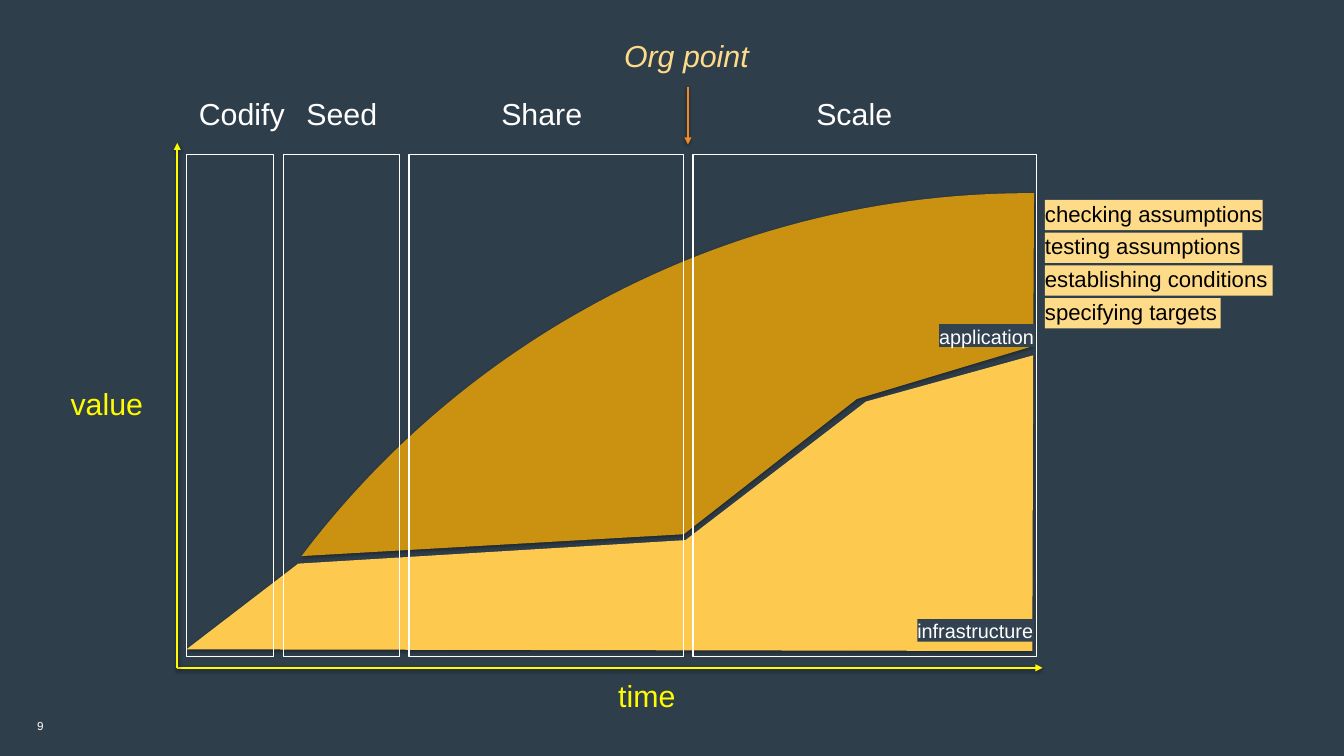
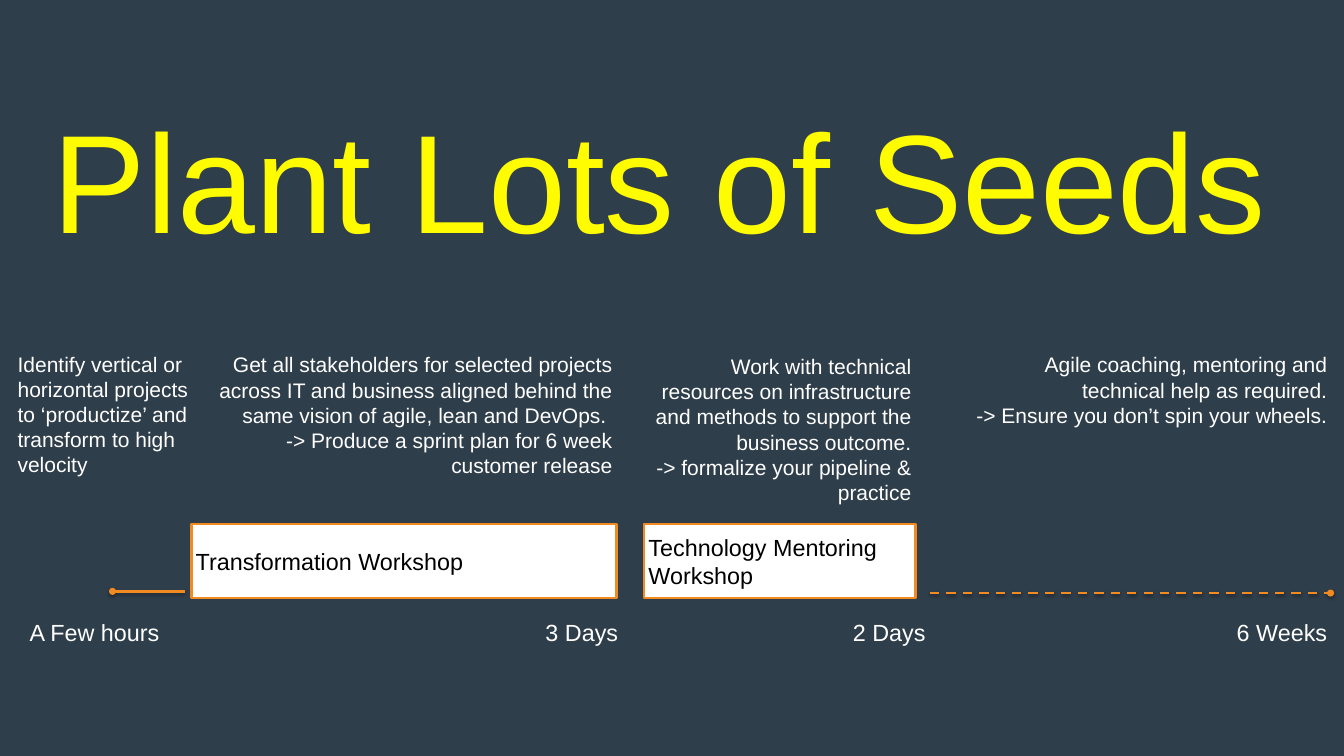
from dataclasses import dataclass

from lxml import etree
from pptx import Presentation
from pptx.dml.color import RGBColor
from pptx.enum.dml import MSO_LINE
from pptx.enum.shapes import MSO_CONNECTOR, MSO_SHAPE
from pptx.enum.text import MSO_ANCHOR, MSO_AUTO_SIZE, PP_ALIGN
from pptx.oxml.ns import qn
from pptx.util import Inches, Pt

LEFT, CENTER, RIGHT = PP_ALIGN.LEFT, PP_ALIGN.CENTER, PP_ALIGN.RIGHT
TOP, MIDDLE = MSO_ANCHOR.TOP, MSO_ANCHOR.MIDDLE
RECTANGLE, STRAIGHT, DASH = MSO_SHAPE.RECTANGLE, MSO_CONNECTOR.STRAIGHT, MSO_LINE.DASH
NO_FIT = MSO_AUTO_SIZE.NONE

FONT = "Arial"
COLORS = {
    "slate": "2F3E4B", "tag": "324250", "yellow": "FFFB00", "white": "FFFFFF",
    "black": "000000", "amber": "FDC94F", "ochre": "CA9210", "cream": "FEDB89",
    "orange": "F18B21",
}
TITLE_ONLY, BLANK = 5, 6
Point = tuple[float, float]


@dataclass(frozen=True)
class Style:
    size: float
    color: str = "white"
    align: PP_ALIGN = LEFT
    anchor: MSO_ANCHOR = TOP
    inset: float = 0
    wrap: bool = True
    italic: bool = False


@dataclass(frozen=True)
class Box:
    left: float
    top: float
    width: float
    height: float

    def lengths(self) -> list:
        return [Inches(v) for v in (self.left, self.top, self.width, self.height)]


@dataclass(frozen=True)
class Phase:
    name: str
    width: float
    label_center: float


@dataclass(frozen=True)
class Stage:
    """One step of the plan: what is done and how long it takes."""
    note_box: Box
    notes: tuple[str, ...]
    align: PP_ALIGN
    duration: str
    duration_right: float
    workshop: str = ""


AXIS_NAME = Style(26, "yellow")
PHASE_NAME = Style(26, align=CENTER)
ORG_POINT = Style(26, "cream", wrap=False, italic=True)
AREA_TAG = Style(17, wrap=False)
ACTIVITY = Style(19, "black", wrap=False)
PAGE_NUMBER = Style(10, align=RIGHT, anchor=MIDDLE, inset=0.05, wrap=False)
TITLE = Style(120, "yellow", anchor=MIDDLE)
WORKSHOP = Style(20, "black", anchor=MIDDLE, inset=0.05)
DURATION = Style(20, align=RIGHT, inset=0.05)

# Value curve
PHASES = [
    Phase("Codify", 1.04, 2.88), Phase("Seed", 1.39, 4.07),
    Phase("Share", 3.27, 6.45), Phase("Scale", 4.09, 10.17),
]
PHASE_LEFT, PHASE_TOP, PHASE_HEIGHT, PHASE_GAP = 2.22, 1.84, 5.98, 0.11
ORIGIN = (2.11, 7.95)
INFRASTRUCTURE = [(2.22, 7.73), (3.55, 6.71), (8.16, 6.43), (10.31, 4.78),
                  (12.3, 4.23), (12.29, 7.75)]
APPLICATION = [(3.59, 6.62), (8.14, 6.36), (10.2, 4.75), (12.3, 4.12), (12.31, 2.3)]
APPLICATION_CURVES = [
    ((12.31, 2.3), (10.43, 2.29), (8.57, 2.77), (6.93, 3.7)),
    ((6.93, 3.7), (5.63, 4.43), (4.49, 5.43), (3.59, 6.62)),
]
AREA_TAGS = [("infrastructure", Box(10.92, 7.37, 1.39, 0.27)),
             ("application", Box(11.18, 3.86, 1.14, 0.27))]
ACTIVITIES = [("checking assumptions", 2.59), ("testing assumptions", 2.35),
              ("establishing conditions", 2.71), ("specifying targets", 2.09)]
ACTIVITY_LEFT, ACTIVITY_TOP, ACTIVITY_PITCH = 12.44, 2.38, 0.39

# Workshop plan
STAGES = [
    Stage(Box(0.16, 4.13, 2.16, 1.84),
          ("Identify vertical or horizontal projects to ‘productize’ and transform "
           "to high velocity",),
          LEFT, "A Few hours", 1.95),
    Stage(Box(2.28, 4.14, 5.06, 1.84),
          ("Get all stakeholders for selected projects across IT and business aligned "
           "behind the same vision of agile, lean and DevOps. ",
           "-> Produce a sprint plan for 6 week customer release"),
          RIGHT, "3 Days", 7.41, "Transformation Workshop"),
    Stage(Box(7.67, 4.16, 3.23, 2.18),
          ("Work with technical resources on infrastructure and methods to support "
           "the business outcome.",
           "-> formalize your pipeline & practice"),
          RIGHT, "2 Days", 11.07, "Technology Mentoring Workshop"),
    Stage(Box(11.4, 4.14, 4.45, 1.14),
          ("Agile coaching, mentoring and technical help as required.",
           "-> Ensure you don’t spin your wheels."),
          RIGHT, "6 Weeks", 15.85),
]
WORKSHOP_TOP, WORKSHOP_HEIGHT = 6.24, 0.88
DURATION_TOP, DURATION_WIDTH, DURATION_HEIGHT = 7.31, 3.11, 0.48


def rgb(name: str) -> RGBColor:
    return RGBColor.from_string(COLORS[name])


def write(shape, paragraphs: tuple[str, ...], style: Style) -> None:
    frame = shape.text_frame
    frame.auto_size = NO_FIT
    frame.word_wrap = style.wrap
    frame.vertical_anchor = style.anchor
    frame.margin_left = frame.margin_right = Inches(style.inset)
    frame.margin_top = frame.margin_bottom = Inches(style.inset)
    for index, text in enumerate(paragraphs):
        para = frame.add_paragraph() if index else frame.paragraphs[0]
        para.alignment = style.align
        span = para.add_run()
        span.text = text
        span.font.name = FONT
        span.font.size = Pt(style.size)
        span.font.italic = style.italic
        span.font.color.rgb = rgb(style.color)


def add_text(page, box: Box, style: Style, *paragraphs: str) -> None:
    write(page.shapes.add_textbox(*box.lengths()), paragraphs, style)


def add_rectangle(page, box: Box, fill: str = "", line: str = "", width: float = 1):
    shape = page.shapes.add_shape(RECTANGLE, *box.lengths())
    shape.shadow.inherit = False
    if fill:
        shape.fill.solid()
        shape.fill.fore_color.rgb = rgb(fill)
    else:
        shape.fill.background()
    if line:
        shape.line.color.rgb = rgb(line)
        shape.line.width = Pt(width)
    else:
        shape.line.fill.background()
    return shape


def add_soft_shadow(properties) -> None:
    """Append a faint downward shadow to the shape properties."""
    effects = etree.SubElement(properties, qn("a:effectLst"))
    shadow = etree.SubElement(
        effects, qn("a:outerShdw"), blurRad=str(Pt(3)), dist=str(Pt(1.6)),
        dir="5400000", rotWithShape="0")
    black = etree.SubElement(shadow, qn("a:srgbClr"), val=COLORS["black"])
    etree.SubElement(black, qn("a:alpha"), val="38000")


def add_arrow(page, start: Point, end: Point, color: str, tip: str = "triangle",
              dashed: bool = False) -> None:
    arrow = page.shapes.add_connector(
        STRAIGHT, *(Inches(value) for value in start + end))
    arrow.line.color.rgb = rgb(color)
    arrow.line.width = Pt(2)
    if dashed:
        arrow.line.dash_style = DASH
    properties = arrow._element.spPr
    etree.SubElement(properties.find(qn("a:ln")), qn("a:tailEnd"), type=tip)
    add_soft_shadow(properties)


def curve_points(curve: tuple[Point, ...], steps: int = 30) -> list[Point]:
    """Points along a cubic curve, without its start."""
    points = []
    for step in range(1, steps + 1):
        t = step / steps
        weights = ((1 - t) ** 3, 3 * t * (1 - t) ** 2, 3 * t ** 2 * (1 - t), t ** 3)
        points.append(tuple(
            sum(weight * point[axis] for weight, point in zip(weights, curve))
            for axis in (0, 1)))
    return points


def add_area(page, points: list[Point], color: str) -> None:
    corners = [(Inches(x), Inches(y)) for x, y in points]
    builder = page.shapes.build_freeform(*corners[0])
    builder.add_line_segments(corners[1:], close=True)
    area = builder.convert_to_shape()
    area.fill.solid()
    area.fill.fore_color.rgb = rgb(color)
    area.line.fill.background()
    add_soft_shadow(area._element.spPr)


def build_value_page(deck) -> None:
    page = deck.slides.add_slide(deck.slide_layouts[BLANK])

    # Axes
    add_arrow(page, ORIGIN, (12.41, ORIGIN[1]), "yellow")
    add_arrow(page, ORIGIN, (ORIGIN[0], 1.7), "yellow")
    add_text(page, Box(0.84, 4.58, 1.05, 0.5), AXIS_NAME, "value")
    add_text(page, Box(7.36, 8.06, 0.73, 0.5), AXIS_NAME, "time")

    # Areas
    add_area(page, INFRASTRUCTURE, "amber")
    rounded_edge = [point for curve in APPLICATION_CURVES for point in curve_points(curve)]
    add_area(page, APPLICATION + rounded_edge, "ochre")

    # Phases
    left = PHASE_LEFT
    for phase in PHASES:
        add_rectangle(page, Box(left, PHASE_TOP, phase.width, PHASE_HEIGHT), line="white")
        add_text(page, Box(phase.label_center - 0.7, 1.13, 1.4, 0.5), PHASE_NAME, phase.name)
        left += phase.width + PHASE_GAP

    # Area tags and activities
    for name, box in AREA_TAGS:
        write(add_rectangle(page, box, fill="tag"), (name,), AREA_TAG)
    for index, (name, width) in enumerate(ACTIVITIES):
        box = Box(ACTIVITY_LEFT, ACTIVITY_TOP + index * ACTIVITY_PITCH, width, 0.36)
        write(add_rectangle(page, box, fill="cream"), (name,), ACTIVITY)

    # Org point and page number
    add_text(page, Box(7.43, 0.44, 1.5, 0.42), ORG_POINT, "Org point")
    add_arrow(page, (8.19, 1.03), (8.19, 1.72), "orange")
    add_text(page, Box(0.38, 8.51, 0.19, 0.25), PAGE_NUMBER, "9")


def build_plan_page(deck) -> None:
    page = deck.slides.add_slide(deck.slide_layouts[TITLE_ONLY])
    title = page.shapes.title
    title.left, title.top, title.width, title.height = Box(0.63, 0.97, 15.37, 2.28).lengths()
    write(title, ("Plant Lots of Seeds",), TITLE)

    # Stages
    for stage in STAGES:
        box = stage.note_box
        if stage.workshop:
            frame = Box(box.left, WORKSHOP_TOP, box.width, WORKSHOP_HEIGHT)
            workshop = add_rectangle(page, frame, "white", "orange", 2)
            write(workshop, (stage.workshop,), WORKSHOP)
        add_text(page, box, Style(18, align=stage.align, inset=0.05), *stage.notes)
        width = min(DURATION_WIDTH, stage.duration_right - 0.12)
        add_text(page, Box(stage.duration_right - width, DURATION_TOP, width, DURATION_HEIGHT),
                 DURATION, stage.duration)

    # Open ends of the timeline
    add_arrow(page, (2.2, 7.04), (1.34, 7.04), "orange", "oval")
    add_arrow(page, (11.07, 7.06), (15.84, 7.06), "orange", "oval", dashed=True)


def main() -> None:
    deck = Presentation()
    deck.slide_width, deck.slide_height = Inches(16), Inches(9)
    backdrop = deck.slide_master.background.fill
    backdrop.solid()
    backdrop.fore_color.rgb = rgb("slate")
    build_value_page(deck)
    build_plan_page(deck)
    deck.save("out.pptx")


if __name__ == "__main__":
    main()
